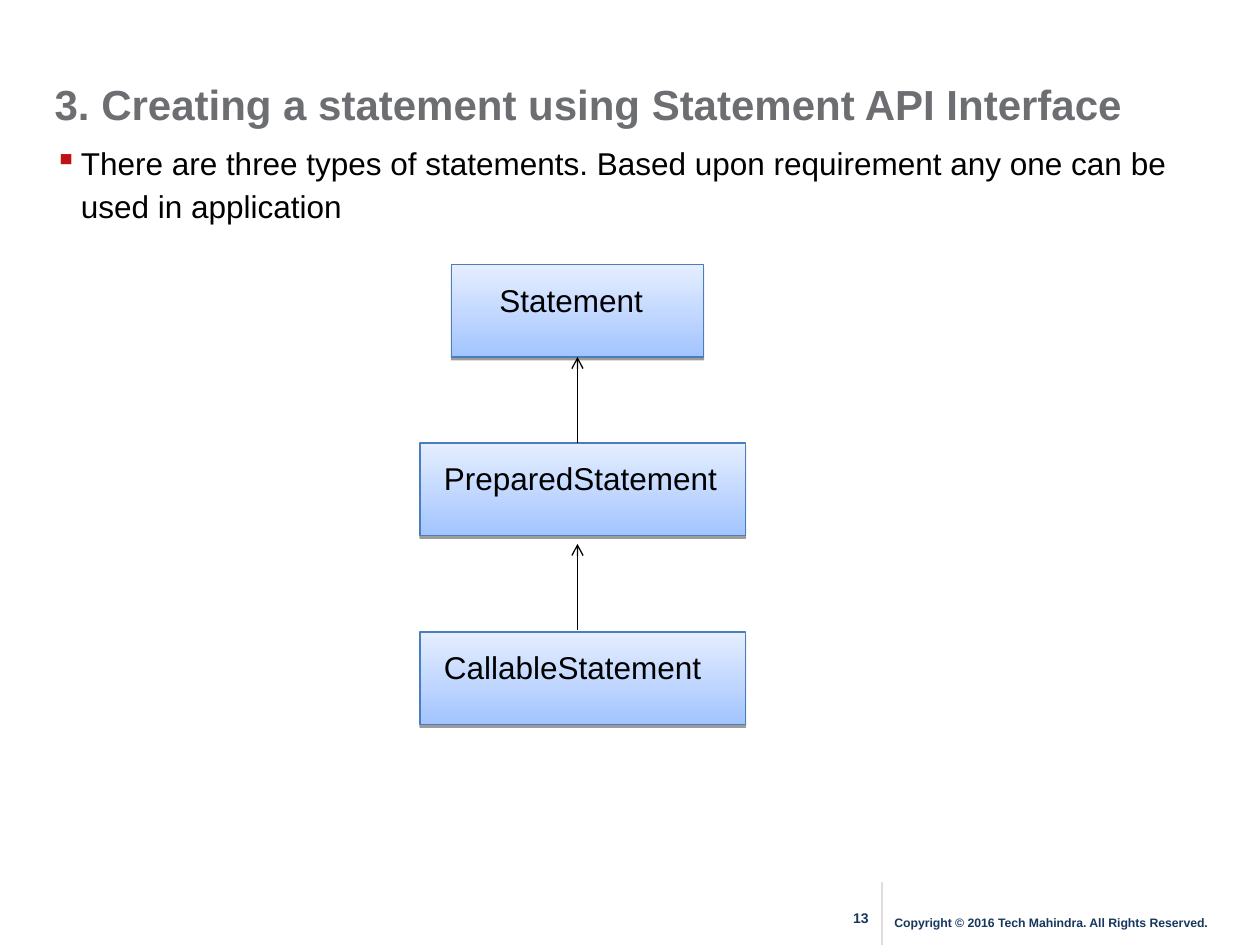
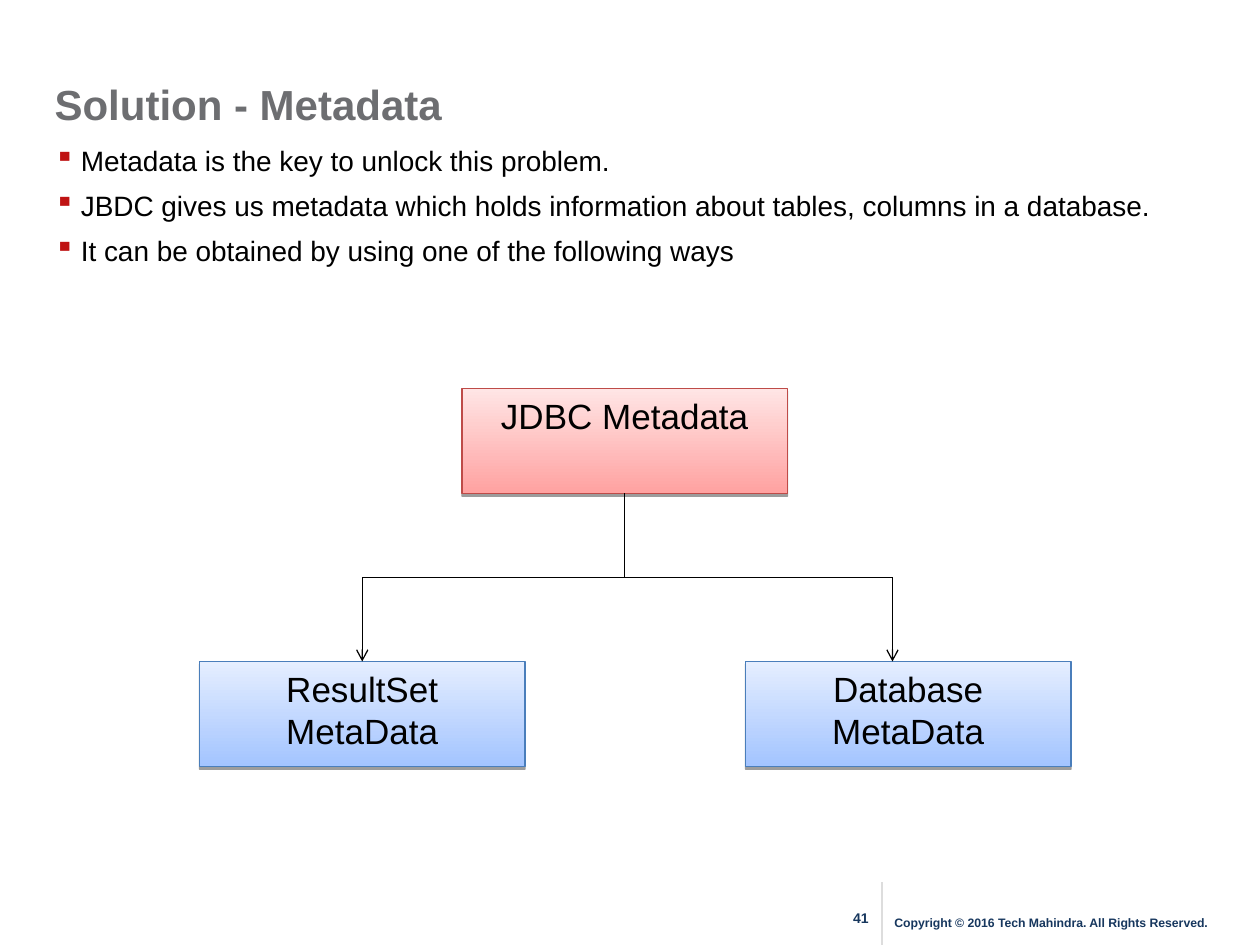
"""Build two slides on database statements and metadata."""
import dataclasses
import typing

import lxml.etree
import pptx
import pptx.dml.color
import pptx.enum.shapes
import pptx.enum.text
import pptx.oxml.ns
import pptx.presentation
import pptx.shapes.base
import pptx.slide
import pptx.util

COLUMNS, ROWS = 120, 90
WIDTH, HEIGHT = pptx.util.Inches(10), pptx.util.Inches(7.5)
FONT = "Arial"
BLACK, TITLE_GREY, NAVY = "000000", "6D6E71", "17375E"
BULLET_RED, DIVIDER_GREY = "BF1313", "DDDDDD"
COPYRIGHT = "Copyright © 2016 Tech Mahindra. All Rights Reserved."
LEFT = pptx.enum.text.PP_ALIGN.LEFT
CENTER = pptx.enum.text.PP_ALIGN.CENTER
TOP = pptx.enum.text.MSO_ANCHOR.TOP
MIDDLE = pptx.enum.text.MSO_ANCHOR.MIDDLE


@dataclasses.dataclass(frozen=True)
class Area:
    column: float
    row: float
    columns: float
    rows: float


@dataclasses.dataclass(frozen=True)
class Palette:
    bottom: str
    top: str
    outline: str


BLUE = Palette("A3C4FF", "E5EEFF", "4A7EBB")
RED = Palette("FFA2A1", "FFE5E5", "BE4B48")


@dataclasses.dataclass(frozen=True)
class Node:
    text: str
    area: Area
    size: float
    palette: Palette = BLUE
    align: pptx.enum.text.PP_ALIGN = CENTER
    inset_left: float = 0.1
    inset_top: float = 0.05


@dataclasses.dataclass(frozen=True)
class Link:
    start: tuple[float, float]
    end: tuple[float, float]
    arrow: bool = False
    color: str = BLACK
    weight: float = 0.75


@dataclasses.dataclass(frozen=True)
class Topic:
    title: str
    title_columns: float
    number: int
    bullets: list[str]
    bullet_size: float
    bullet_gap: float
    nodes: list[Node]
    links: list[Link]


def across(columns: float) -> int:
    return round(WIDTH * columns / COLUMNS)


def down(rows: float) -> int:
    return round(HEIGHT * rows / ROWS)


def bounds(area: Area) -> tuple[int, int, int, int]:
    return across(area.column), down(area.row), across(area.columns), down(area.rows)


def rgb(color: str) -> pptx.dml.color.RGBColor:
    return pptx.dml.color.RGBColor.from_string(color)


def add_element(parent: typing.Any, tag: str, **attributes: str) -> typing.Any:
    return lxml.etree.SubElement(parent, pptx.oxml.ns.qn(tag), attributes)


def add_bullet(para: typing.Any) -> None:
    properties = para._p.get_or_add_pPr()
    indent = pptx.util.Inches(0.21)
    properties.set("marL", str(indent))
    properties.set("indent", str(-indent))
    add_element(add_element(properties, "a:buClr"), "a:srgbClr", val=BULLET_RED)
    add_element(properties, "a:buChar", char="▪")


def write(box: typing.Any, *texts: str, size: float, color: str = BLACK,
          bold: bool = False, align: pptx.enum.text.PP_ALIGN = LEFT,
          anchor: pptx.enum.text.MSO_ANCHOR = TOP, bullet: bool = False,
          spacing: float = 1.0, gap: float = 0, inset_left: float = 0.1,
          inset_top: float = 0.05) -> None:
    frame = box.text_frame
    frame.word_wrap = True
    frame.auto_size = pptx.enum.text.MSO_AUTO_SIZE.NONE
    frame.vertical_anchor = anchor
    frame.margin_left = pptx.util.Inches(inset_left)
    frame.margin_top = pptx.util.Inches(inset_top)
    frame.margin_right = pptx.util.Inches(0.1)
    frame.margin_bottom = pptx.util.Inches(0.05)
    for index, text in enumerate(texts):
        para = frame.add_paragraph() if index else frame.paragraphs[0]
        if bullet:
            add_bullet(para)
        para.alignment = align
        para.line_spacing = spacing
        para.space_before = pptx.util.Pt(gap if index else 0)
        span = para.add_run()
        span.text = text
        span.font.name = FONT
        span.font.size = pptx.util.Pt(size)
        span.font.bold = bold
        span.font.color.rgb = rgb(color)


def draw_text(page: pptx.slide.Slide, area: Area, *texts: str,
              **text_format: typing.Any) -> None:
    write(page.shapes.add_textbox(*bounds(area)), *texts, **text_format)


def draw_node(page: pptx.slide.Slide, node: Node) -> None:
    box = page.shapes.add_shape(
        pptx.enum.shapes.MSO_SHAPE.RECTANGLE, *bounds(node.area))
    box.fill.gradient()
    box.fill.gradient_angle = 90
    colors = (node.palette.bottom, node.palette.top)
    for position, (stop, color) in enumerate(zip(box.fill.gradient_stops, colors)):
        stop.position = position
        stop.color.rgb = rgb(color)
    box.line.color.rgb = rgb(node.palette.outline)
    box.line.width = pptx.util.Pt(0.75)
    box.shadow.inherit = False
    effects = box._element.spPr.find(pptx.oxml.ns.qn("a:effectLst"))
    shadow = add_element(effects, "a:outerShdw", blurRad="0",
                         dist=str(pptx.util.Pt(1.6)), dir="5400000", rotWithShape="0")
    shade = add_element(shadow, "a:srgbClr", val=BLACK)
    add_element(shade, "a:alpha", val="38000")
    write(box, node.text, size=node.size, align=node.align,
          inset_left=node.inset_left, inset_top=node.inset_top)


def draw_link(page: pptx.slide.Slide, link: Link) -> None:
    (start_column, start_row), (end_column, end_row) = link.start, link.end
    line = page.shapes.add_connector(
        pptx.enum.shapes.MSO_CONNECTOR.STRAIGHT,
        across(start_column), down(start_row), across(end_column), down(end_row))
    line.line.color.rgb = rgb(link.color)
    line.line.width = pptx.util.Pt(link.weight)
    if link.arrow:
        add_element(line.line._get_or_add_ln(), "a:tailEnd", type="arrow")
    add_element(line._element.spPr, "a:effectLst")


def draw_footer(page: pptx.slide.Slide, number: int) -> None:
    draw_text(page, Area(79, 86, 6, 3.6), str(number), size=8, color=NAVY,
              bold=True, align=CENTER)
    draw_link(page, Link((84, 84), (84, 90), color=DIVIDER_GREY, weight=1.5))
    draw_text(page, Area(84, 86.4, 35, 3), COPYRIGHT, size=7, color=NAVY,
              bold=True, anchor=MIDDLE)


def draw_topic(deck: pptx.presentation.Presentation, topic: Topic) -> None:
    page = deck.slides.add_slide(deck.slide_layouts.get_by_name("Title Only"))
    title = page.shapes.title
    title.left, title.top, title.width, title.height = bounds(
        Area(4, 7.2, topic.title_columns, 5.4))
    write(title, topic.title, size=24, color=TITLE_GREY, bold=True, anchor=MIDDLE)
    draw_text(page, Area(4, 12.6, 110, 72), *topic.bullets, size=topic.bullet_size,
              bullet=True, spacing=1.14, gap=topic.bullet_gap)
    for node in topic.nodes:
        draw_node(page, node)
    for link in topic.links:
        draw_link(page, link)
    draw_footer(page, topic.number)


def statement_node(text: str, column: float, row: float, columns: float,
                   inset_left: float) -> Node:
    return Node(text, Area(column, row, columns, 8.8), 18, align=LEFT,
                inset_left=inset_left, inset_top=0.13)


def metadata_node(text: str, column: float, row: float,
                  palette: Palette = BLUE) -> Node:
    return Node(text, Area(column, row, 31, 10), 20, palette)


TOPICS = [
    Topic(
        "3. Creating a statement using Statement API Interface", 110, 13,
        ["There are three types of statements. Based upon requirement any one "
         "can be used in application"], 18, 4.5,
        [statement_node("Statement", 43, 25.2, 24, 0.38),
         statement_node("PreparedStatement", 40, 42.2, 31, 0.19),
         statement_node("CallableStatement", 40, 60.2, 31, 0.19)],
        [Link((55, row), (55, row - 8.2), arrow=True) for row in (42.2, 60)]),
    Topic(
        "Solution - Metadata", 88, 41,
        ["Metadata is the key to unlock this problem.",
         "JBDC gives us metadata which holds information about tables, columns "
         "in a database.",
         "It can be obtained by using one of the following ways"], 16, 4,
        [metadata_node("JDBC Metadata", 44, 37, RED),
         metadata_node("ResultSet MetaData", 19, 63),
         metadata_node("Database MetaData", 71, 63)],
        [Link((59.5, 47), (59.5, 55)), Link((34.5, 55), (85, 55)),
         *(Link((column, 55), (column, 63), arrow=True) for column in (34.5, 85))]),
]


def main() -> None:
    deck = pptx.Presentation()
    deck.slide_width, deck.slide_height = WIDTH, HEIGHT
    for topic in TOPICS:
        draw_topic(deck, topic)
    deck.save("out.pptx")


if __name__ == "__main__":
    main()
